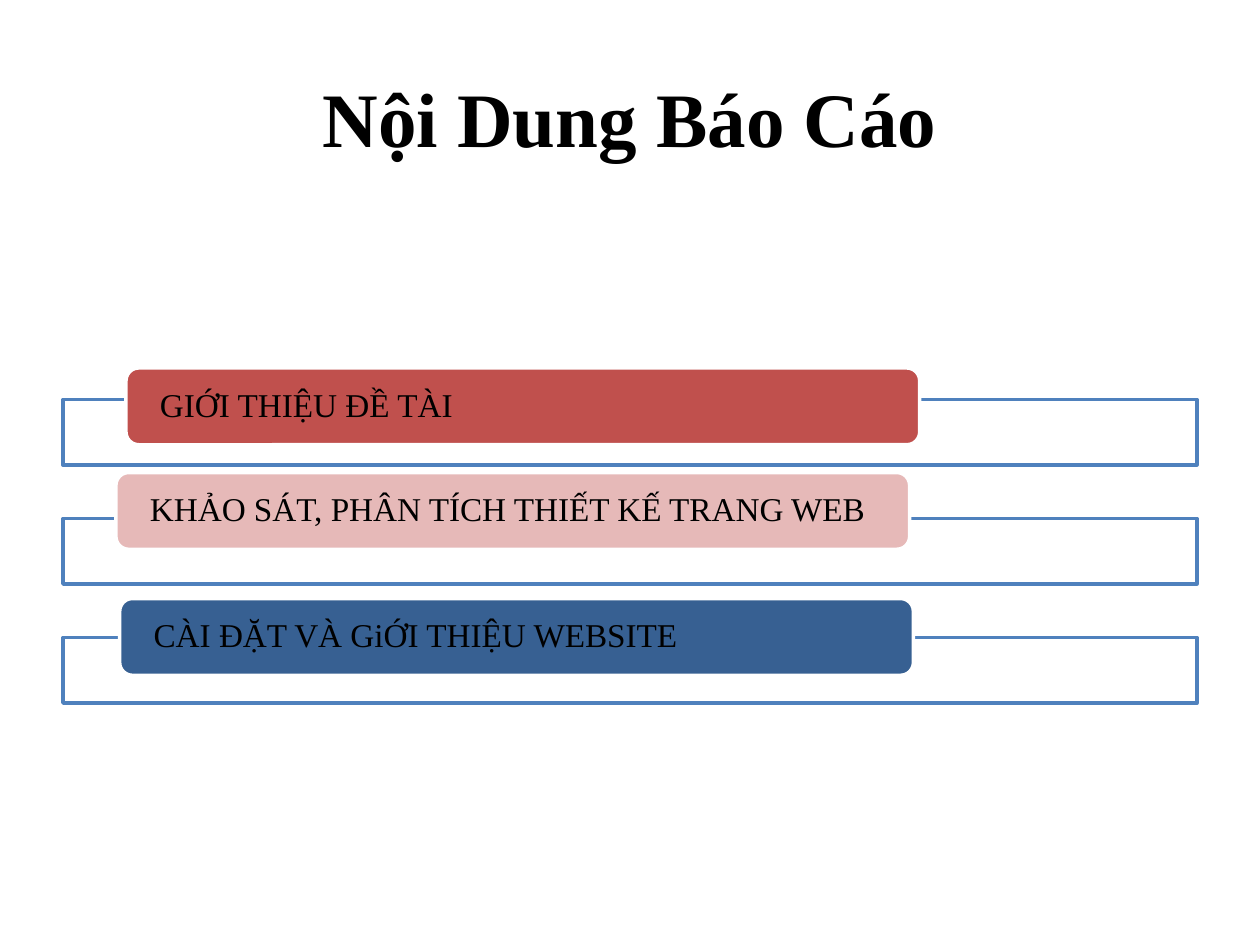
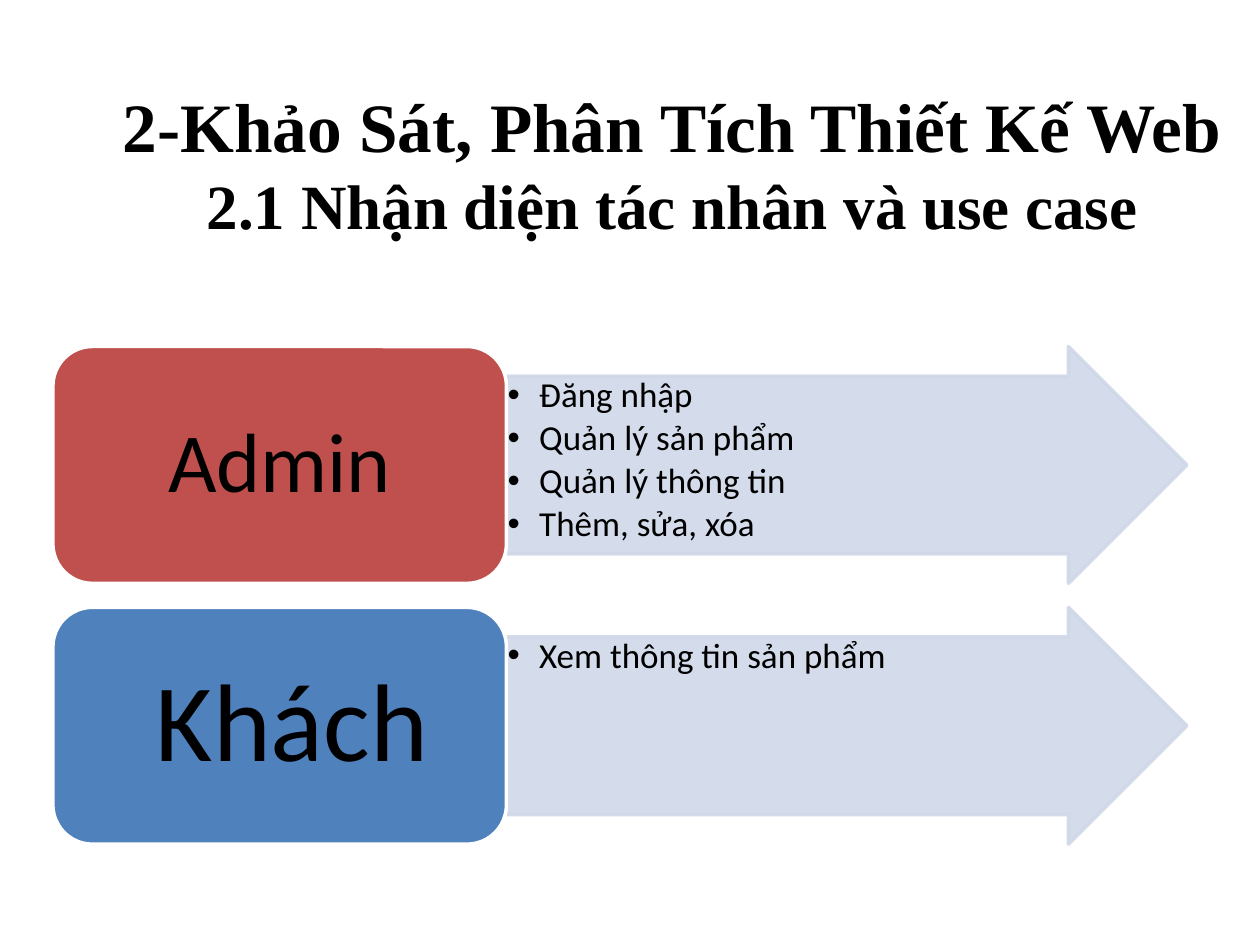
"""Builds the report outline slide and the actors and use cases slide."""
from lxml import etree
from pptx import Presentation
from pptx import util as u
from pptx.dml.color import RGBColor
from pptx.enum import shapes, text
from pptx.oxml.ns import qn

BLACK, WHITE, BLUE, RED = "000000", "FFFFFF", "4F81BD", "C0504D"
PINK, NAVY, PALE = "E6B9B8", "376092", "D0D8E8"
SERIF, SANS = "Times New Roman", "Calibri"
PRESET = shapes.MSO_SHAPE

TOPICS = [
    ("GIỚI THIỆU ĐỀ TÀI", RED, 1, 2.92),
    ("KHẢO SÁT, PHÂN TÍCH THIẾT KẾ TRANG WEB", PINK, 0.92, 3.75),
    ("CÀI ĐẶT VÀ GiỚI THIỆU WEBSITE", NAVY, 0.95, 4.75),
]
ACTORS = [
    ("Admin", RED, 48, 0.2,
     ["Đăng nhập", "Quản lý sản phẩm", "Quản lý thông tin", "Thêm, sửa, xóa"]),
    (" Khách", BLUE, 63, 0.26, ["Xem thông tin sản phẩm"]),
]


def paint(color_format, color, alpha=100):
    """Make a fill solid in a hex colour with an opacity in percent."""
    color_format.solid()
    color_format.fore_color.rgb = RGBColor.from_string(color)
    if alpha < 100:
        rgb = color_format.fore_color._xFill.find(qn("a:srgbClr"))
        etree.SubElement(rgb, qn("a:alpha"), val=str(alpha * 1000))


def add_block(slide, preset, box, fill, line, fill_alpha=100, line_alpha=100):
    """Add a flat preset shape with a two-point outline."""
    block = slide.shapes.add_shape(preset, *map(u.Inches, box))
    block.shadow.inherit = False
    paint(block.fill, fill, fill_alpha)
    paint(block.line.fill, line, line_alpha)
    block.line.width = u.Pt(2)
    return block


def set_frame(frame, anchor, insets):
    """Set wrapping, anchor and the left, top, right and bottom insets."""
    frame.word_wrap = True
    frame.vertical_anchor = anchor
    (frame.margin_left, frame.margin_top,
     frame.margin_right, frame.margin_bottom) = map(u.Inches, insets)


def write(frame, lines, font, sizes, align, bold=False, spacing=None):
    """Write one paragraph for each line in black."""
    frame.text = "\n".join(lines)
    for paragraph, size in zip(frame.paragraphs, sizes):
        paragraph.alignment = align
        paragraph.line_spacing = spacing
        for run in paragraph.runs:
            run.font.name = font
            run.font.size = u.Pt(size)
            run.font.bold = bold
            run.font.color.rgb = RGBColor.from_string(BLACK)


def add_title(slide, box, lines, sizes, bottom=0.05):
    """Add the bold centred slide title."""
    frame = slide.shapes.add_textbox(*map(u.Inches, box)).text_frame
    set_frame(frame, text.MSO_ANCHOR.MIDDLE, (0.1, 0.05, 0.1, bottom))
    write(frame, lines, SERIF, sizes, text.PP_ALIGN.CENTER, bold=True)


def add_bullets(frame):
    """Give every paragraph a hanging bullet."""
    for paragraph in frame.paragraphs:
        paragraph.space_after = u.Pt(3)
        properties = paragraph._p.get_or_add_pPr()
        properties.set("marL", str(u.Inches(0.25)))
        properties.set("indent", str(-u.Inches(0.25)))
        etree.SubElement(properties, qn("a:buFont"), typeface="Arial")
        etree.SubElement(properties, qn("a:buChar"), char="•")


def add_topic(slide, frame_top, topic, color, left, top):
    """Add an outlined frame with a topic label over its upper edge."""
    add_block(slide, PRESET.RECTANGLE, (0.5, frame_top, 9, 0.52), WHITE, BLUE, 90)
    label = add_block(slide, PRESET.ROUNDED_RECTANGLE, (left, top, 6.3, 0.61), color, WHITE)
    set_frame(label.text_frame, text.MSO_ANCHOR.MIDDLE, (0.24, 0, 0.24, 0))
    write(label.text_frame, [topic], SERIF, [19], text.PP_ALIGN.LEFT, spacing=0.9)


def add_actor(slide, top, actor, color, size, inset, use_cases):
    """Add an actor box with an arrow that lists its use cases."""
    arrow = add_block(slide, PRESET.RIGHT_ARROW, (4.02, top, 5.4, 1.88), PALE, PALE, 90, 90)
    arrow.adjustments[0], arrow.adjustments[1] = 0.75, 0.5
    set_frame(arrow.text_frame, text.MSO_ANCHOR.TOP, [0.01] * 4)
    write(arrow.text_frame, use_cases, SANS, [20] * len(use_cases),
          text.PP_ALIGN.LEFT, spacing=0.9)
    add_bullets(arrow.text_frame)
    label = add_block(slide, PRESET.ROUNDED_RECTANGLE, (0.42, top, 3.6, 1.88), color, WHITE)
    set_frame(label.text_frame, text.MSO_ANCHOR.MIDDLE, [inset, inset / 2] * 2)
    write(label.text_frame, [actor], SANS, [size], text.PP_ALIGN.CENTER, spacing=0.9)


def main():
    """Build and save both slides."""
    deck = Presentation()
    deck.slide_width, deck.slide_height = u.Inches(10), u.Inches(7.5)
    blank = deck.slide_layouts[6]

    outline = deck.slides.add_slide(blank)
    add_title(outline, (0.5, 0.3, 9, 1.25), ["Nội Dung Báo Cáo"], [44])
    for index, topic in enumerate(TOPICS):
        add_topic(outline, 3.17 + 0.945 * index, *topic)

    analysis = deck.slides.add_slide(blank)
    add_title(analysis, (0.67, 0.33, 9.33, 2.5),
              ["2-Khảo Sát, Phân Tích Thiết Kế Web", "2.1 Nhận diện tác nhân và use case"],
              [39.6, 36], bottom=0.63)
    for index, actor in enumerate(ACTORS):
        add_actor(analysis, 2.75 + 2.07 * index, *actor)

    deck.save("out.pptx")


if __name__ == "__main__":
    main()
